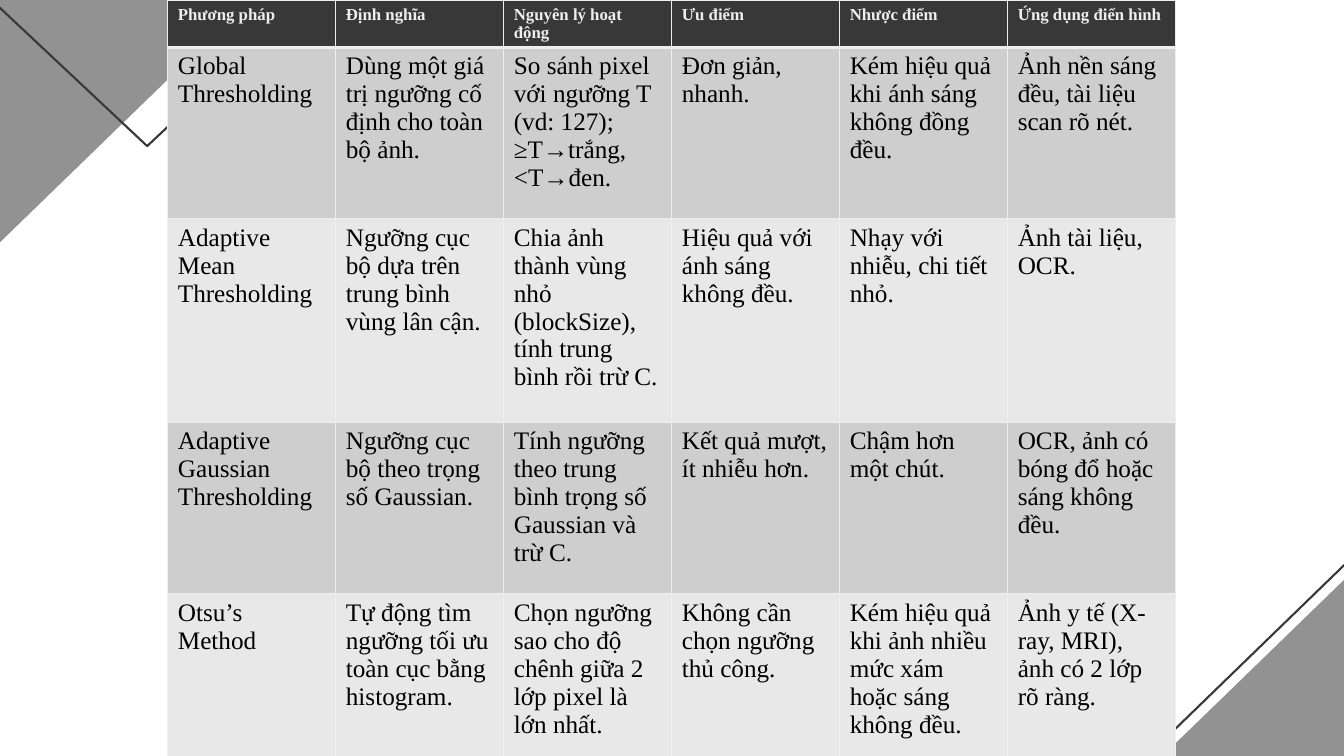
import lxml.etree
import pptx
import pptx.dml.color
import pptx.enum.shapes
import pptx.oxml.ns
import pptx.util

Cm = pptx.util.Cm
Pt = pptx.util.Pt
SHAPES = pptx.enum.shapes.MSO_SHAPE

DARK, GREY, PALE = "383838", "929292", "EEEEEE"
BANDS = ("CECECE", "E8E8E8")
ROW_HEIGHTS = (0.94, 4.32, 5.13, 4.32, 4.32)
METHODS = (
    ("Phương pháp", "Định nghĩa", "Nguyên lý hoạt động",
     "Ưu điểm", "Nhược điểm", "Ứng dụng điển hình"),
    ("Global Thresholding",
     "Dùng một giá trị ngưỡng cố định cho toàn bộ ảnh.",
     "So sánh pixel với ngưỡng T (vd: 127); ≥T→trắng, <T→đen.",
     "Đơn giản, nhanh.",
     "Kém hiệu quả khi ánh sáng không đồng đều.",
     "Ảnh nền sáng đều, tài liệu scan rõ nét."),
    ("Adaptive Mean Thresholding",
     "Ngưỡng cục bộ dựa trên trung bình vùng lân cận.",
     "Chia ảnh thành vùng nhỏ (blockSize), tính trung bình rồi trừ C.",
     "Hiệu quả với ánh sáng không đều.",
     "Nhạy với nhiễu, chi tiết nhỏ.",
     "Ảnh tài liệu, OCR."),
    ("Adaptive Gaussian Thresholding",
     "Ngưỡng cục bộ theo trọng số Gaussian.",
     "Tính ngưỡng theo trung bình trọng số Gaussian và trừ C.",
     "Kết quả mượt, ít nhiễu hơn.",
     "Chậm hơn một chút.",
     "OCR, ảnh có bóng đổ hoặc sáng không đều."),
    ("Otsu’s Method",
     "Tự động tìm ngưỡng tối ưu toàn cục bằng histogram.",
     "Chọn ngưỡng sao cho độ chênh giữa 2 lớp pixel là lớn nhất.",
     "Không cần chọn ngưỡng thủ công.",
     "Kém hiệu quả khi ảnh nhiều mức xám hoặc sáng không đều.",
     "Ảnh y tế (X-ray, MRI), ảnh có 2 lớp rõ ràng."),
)


def color(value):
    """Turn a hex string into a colour."""
    return pptx.dml.color.RGBColor.from_string(value)


def write(frame, text, size=18, ink="000000", bold=False, font="Times New Roman"):
    """Put one formatted run of text into a text frame."""
    span = frame.paragraphs[0].add_run()
    span.text = text
    span.font.name = font
    span.font.size = Pt(size)
    span.font.bold = bold
    span.font.color.rgb = color(ink)


def add_triangle(page, kind, box, fill=None, line=None, rotation=0):
    """Draw a mirrored triangle, either filled or outlined."""
    triangle = page.shapes.add_shape(kind, *(Cm(length) for length in box))
    triangle.shadow.inherit = False
    triangle.rotation = rotation
    triangle._element.spPr.xfrm.set("flipH", "1")
    if fill:
        triangle.fill.solid()
        triangle.fill.fore_color.rgb = color(fill)
    else:
        triangle.fill.background()
    if line:
        triangle.line.color.rgb = color(line)
        triangle.line.width = Pt(1.5)
    else:
        triangle.line.fill.background()


def add_corners(page, width, height):
    """Decorate the lower right and upper left corners of the page."""
    size = (12.62, 12.24)
    right, top = width - 7.48, height - 9.42
    add_triangle(page, SHAPES.RIGHT_TRIANGLE, (right - 0.38, top, *size), line=DARK)
    add_triangle(page, SHAPES.RIGHT_TRIANGLE, (right, top, *size), fill=GREY)
    add_triangle(page, SHAPES.RIGHT_TRIANGLE, (-2.82, -3.4, *size),
                 fill=GREY, rotation=180)
    add_triangle(page, SHAPES.ISOSCELES_TRIANGLE, (-6.22, -5.64, 19.86, 9.32),
                 line=DARK, rotation=180)


def add_border(cell, side, width):
    """Draw one side of a cell's border."""
    qn = pptx.oxml.ns.qn
    edge = lxml.etree.SubElement(cell._tc.get_or_add_tcPr(), qn("a:ln" + side),
                                 w=str(Pt(width)))
    paint = lxml.etree.SubElement(edge, qn("a:solidFill"))
    lxml.etree.SubElement(paint, qn("a:srgbClr"), val=PALE)


def add_comparison(page, left, top, width):
    """Build the table that compares the thresholding methods."""
    count = len(METHODS[0])
    table = page.shapes.add_table(
        len(METHODS), count, Cm(left), Cm(top), Cm(width), Cm(sum(ROW_HEIGHTS))).table
    table.horz_banding = False
    for column in table.columns:
        column.width = Cm(width / count)
    for row, (texts, height) in enumerate(zip(METHODS, ROW_HEIGHTS)):
        table.rows[row].height = Cm(height)
        header = row == 0
        for column, text in enumerate(texts):
            cell = table.cell(row, column)
            for side in "LRTB":
                thick = (row, side) in ((0, "B"), (1, "T"))
                add_border(cell, side, 3 if thick else 1)
            cell.fill.solid()
            cell.fill.fore_color.rgb = color(DARK if header else BANDS[(row - 1) % 2])
            if header:
                write(cell.text_frame, text, size=12, ink=PALE, bold=True)
            else:
                write(cell.text_frame, text)


def main():
    """Build the deck and save it."""
    width, height = 33.87, 19.05
    deck = pptx.Presentation()
    deck.slide_width, deck.slide_height = Cm(width), Cm(height)
    page = deck.slides.add_slide(deck.slide_layouts[6])
    add_corners(page, width, height)
    add_comparison(page, 4.23, 0, 25.4)
    deck.save("out.pptx")


if __name__ == "__main__":
    main()
